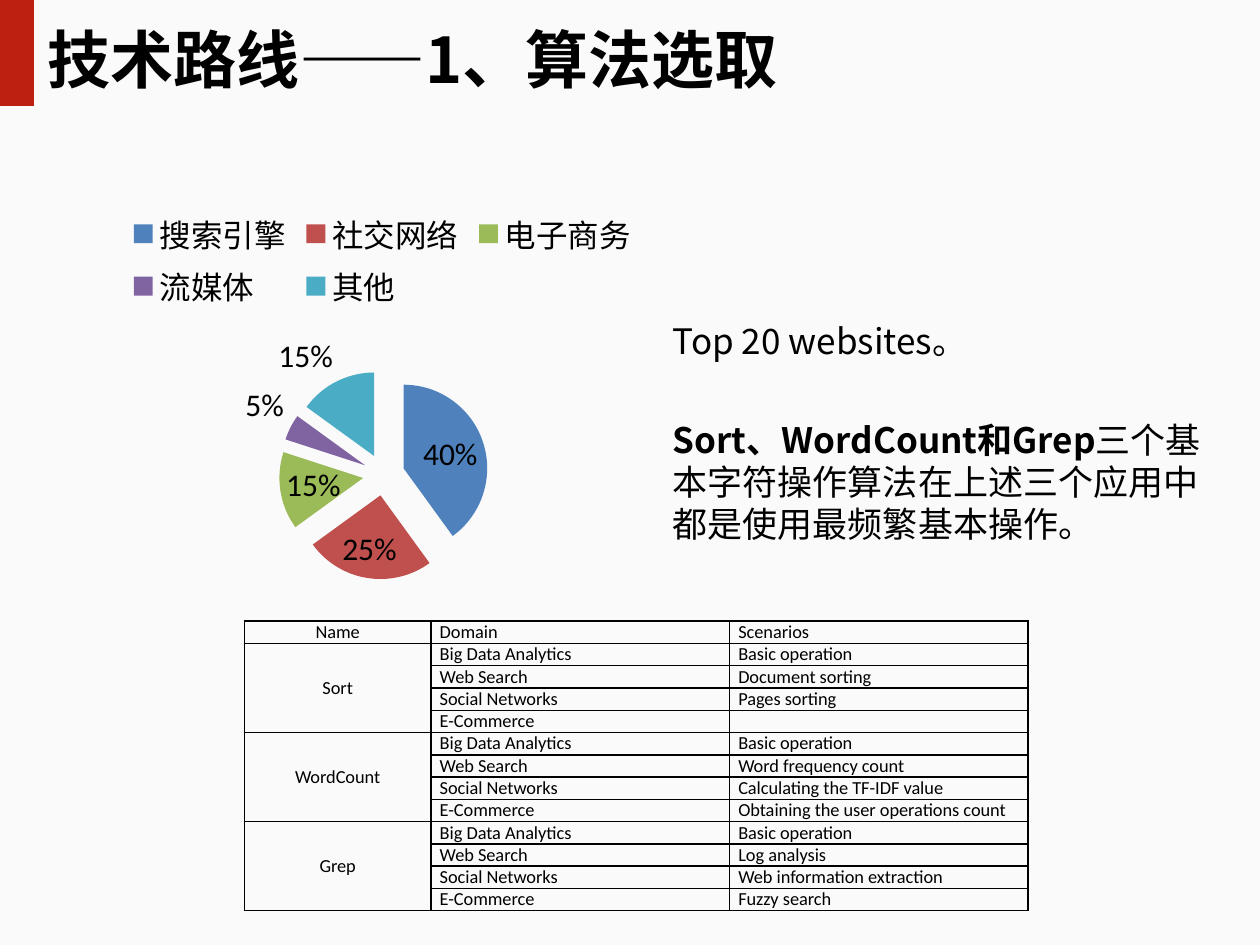
import pptx
import pptx.chart.data
import pptx.dml.color
import pptx.enum.chart
import pptx.enum.shapes
import pptx.enum.text
import pptx.oxml
import pptx.oxml.ns
import pptx.util
import lxml.etree

Inches = pptx.util.Inches
Pt = pptx.util.Pt
RGBColor = pptx.dml.color.RGBColor
Anchor = pptx.enum.text.MSO_ANCHOR
Align = pptx.enum.text.PP_ALIGN
qn = pptx.oxml.ns.qn

BLACK = RGBColor(0x00, 0x00, 0x00)
PAPER = RGBColor(0xFA, 0xFA, 0xFA)
RED = RGBColor(0xBD, 0x20, 0x10)
PIE_COLOURS = [
    RGBColor(0x4F, 0x81, 0xBD),
    RGBColor(0xC0, 0x50, 0x4D),
    RGBColor(0x9B, 0xBB, 0x59),
    RGBColor(0x80, 0x64, 0xA2),
    RGBColor(0x4B, 0xAC, 0xC6),
]
SHARES = {"搜索引擎": 40, "社交网络": 25, "电子商务": 15, "流媒体": 5, "其他": 15}
HEADER = ["Name", "Domain", "Scenarios"]
DOMAINS = ["Big Data Analytics", "Web Search", "Social Networks", "E-Commerce"]
SCENARIOS = {
    "Sort": ["Basic operation", "Document sorting", "Pages sorting", ""],
    "WordCount": ["Basic operation", "Word frequency count",
                  "Calculating the TF-IDF value",
                  "Obtaining the user operations count"],
    "Grep": ["Basic operation", "Log analysis",
             "Web information extraction", "Fuzzy search"],
}


class SlideBuilder:
    """Holds the text style and the current slide, and adds each kind of element."""

    heading_font = "Noto Sans CJK SC"
    data_font = "Calibri"
    table_size = Pt(10.5)

    def __init__(self, presentation):
        self.slide = presentation.slides.add_slide(presentation.slide_layouts[6])

    def add_run(self, paragraph, text, size, font_name, bold=False):
        run = paragraph.add_run()
        run.text = text
        run.font.size = size
        run.font.name = font_name
        run.font.bold = bold
        run.font.color.rgb = BLACK
        east_asian = lxml.etree.SubElement(run._r.get_or_add_rPr(), qn("a:ea"))
        east_asian.set("typeface", font_name)

    def add_rectangle(self, left, top, width, height, colour):
        shape = self.slide.shapes.add_shape(
            pptx.enum.shapes.MSO_SHAPE.RECTANGLE, left, top, width, height)
        shape.shadow.inherit = False
        shape.fill.solid()
        shape.fill.fore_color.rgb = colour
        shape.line.fill.background()

    def add_text(self, left, top, width, height, paragraphs, size,
                 anchor=Anchor.TOP, gap=Pt(0)):
        frame = self.slide.shapes.add_textbox(left, top, width, height).text_frame
        frame.word_wrap = True
        frame.vertical_anchor = anchor
        for index, runs in enumerate(paragraphs):
            paragraph = frame.add_paragraph() if index else frame.paragraphs[0]
            paragraph.space_before = gap if index else Pt(0)
            for text, bold in runs:
                self.add_run(paragraph, text, size, self.heading_font, bold)

    def add_pie(self, left, top, width, height, shares, colours):
        data = pptx.chart.data.CategoryChartData()
        data.categories = list(shares)
        data.add_series("Series 1", list(shares.values()))
        chart = self.slide.shapes.add_chart(
            pptx.enum.chart.XL_CHART_TYPE.PIE_EXPLODED,
            left, top, width, height, data).chart
        chart.has_title = False
        chart.font.size = Pt(18)
        chart.font.name = self.data_font
        chart.font.color.rgb = BLACK
        chart.has_legend = True
        chart.legend.position = pptx.enum.chart.XL_LEGEND_POSITION.TOP
        chart.legend.include_in_layout = False
        plot = chart.plots[0]
        plot.vary_by_categories = True
        plot.has_data_labels = True
        labels = plot.data_labels
        labels.show_percentage = True
        labels.show_value = False
        labels.number_format = "0%"
        labels.number_format_is_linked = False
        labels.position = pptx.enum.chart.XL_LABEL_POSITION.BEST_FIT
        for index, colour in enumerate(colours):
            fill = plot.series[0].points[index].format.fill
            fill.solid()
            fill.fore_color.rgb = colour
        for explosion in plot.series[0]._element.iter(qn("c:explosion")):
            explosion.set("val", "25")

    def style_cell(self, cell):
        cell.margin_left = cell.margin_right = Inches(0.07)
        cell.margin_top = cell.margin_bottom = 0
        properties = cell._tc.get_or_add_tcPr()
        for side in ("lnL", "lnR", "lnT", "lnB"):
            properties.append(pptx.oxml.parse_xml(
                f'<a:{side} {pptx.oxml.ns.nsdecls("a")} w="{Pt(1)}">'
                f'<a:solidFill><a:srgbClr val="{BLACK}"/></a:solidFill></a:{side}>'))
        cell.fill.background()
        end = lxml.etree.SubElement(cell.text_frame.paragraphs[0]._p, qn("a:endParaRPr"))
        end.set("sz", str(int(self.table_size.pt * 100)))

    def write_cell(self, cell, text, alignment):
        paragraph = cell.text_frame.paragraphs[0]
        paragraph.alignment = alignment
        if text:
            self.add_run(paragraph, text, self.table_size, self.data_font)

    def add_table(self, left, top, widths, height, header, domains, scenarios):
        row_count = 1 + len(domains) * len(scenarios)
        table = self.slide.shapes.add_table(
            row_count, len(header), left, top, sum(widths), height).table
        table.first_row = False
        table.horz_banding = False
        for column, width in zip(table.columns, widths):
            column.width = width
        for row in table.rows:
            row.height = height // row_count
            for cell in row.cells:
                self.style_cell(cell)
        for column, text in enumerate(header):
            self.write_cell(table.cell(0, column), text,
                            Align.JUSTIFY if column else Align.CENTER)
        for group, (name, uses) in enumerate(scenarios.items()):
            first = 1 + group * len(domains)
            name_cell = table.cell(first, 0)
            name_cell.merge(table.cell(first + len(domains) - 1, 0))
            name_cell.vertical_anchor = Anchor.MIDDLE
            self.write_cell(name_cell, name, Align.CENTER)
            for row, pair in enumerate(zip(domains, uses), first):
                for column, text in enumerate(pair, 1):
                    self.write_cell(table.cell(row, column), text, Align.JUSTIFY)


def main():
    presentation = pptx.Presentation()
    presentation.slide_width = Inches(10)
    presentation.slide_height = Inches(7.5)
    builder = SlideBuilder(presentation)
    builder.add_rectangle(0, 0, Inches(10), Inches(7.5), PAPER)
    builder.add_rectangle(0, 0, Inches(0.27), Inches(0.84), RED)
    builder.add_text(Inches(0.28), Inches(0.08), Inches(9.23), Inches(0.77),
                     [[("技术路线——1、算法选取", True)]], Pt(36), Anchor.MIDDLE)
    builder.add_text(
        Inches(5.24), Inches(2.49), Inches(4.49), Inches(1.02),
        [[("Top 20 websites。", False)],
         [("Sort、WordCount和Grep", True),
          ("三个基本字符操作算法在上述三个应用中都是使用最频繁基本操作。", False)]],
        Pt(20), gap=Pt(32))
    builder.add_pie(Inches(0.75), Inches(1.55), Inches(4.57), Inches(3.54),
                    SHARES, PIE_COLOURS)
    builder.add_table(Inches(1.94), Inches(4.93),
                      [Inches(1.48), Inches(2.37), Inches(2.37)], Inches(2.3),
                      HEADER, DOMAINS, SCENARIOS)
    presentation.save("out.pptx")


if __name__ == "__main__":
    main()
